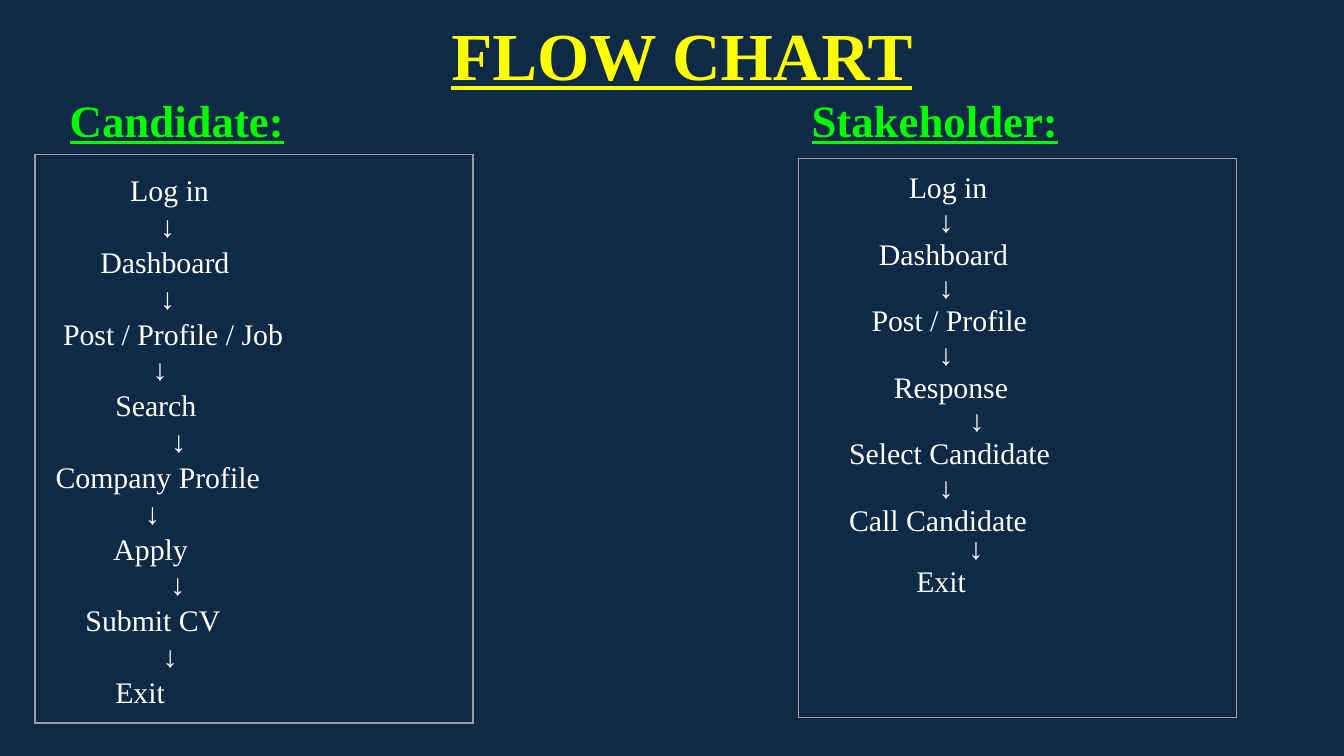
import pptx
import pptx.dml.color
import pptx.oxml
import pptx.oxml.ns
import pptx.util
from lxml import etree

NAVY = pptx.dml.color.RGBColor(0x0E, 0x2A, 0x47)
YELLOW = pptx.dml.color.RGBColor(0xFF, 0xFF, 0x00)
GREEN = pptx.dml.color.RGBColor(0x00, 0xFF, 0x00)
WHITE = pptx.dml.color.RGBColor(0xFF, 0xFF, 0xFF)
GREY = pptx.dml.color.RGBColor(0x9E, 0x9E, 0x9E)

SERIF = "Times New Roman"
NARROW = "Arial Narrow"
SLIDE_WIDTH = pptx.util.Inches(10)
SLIDE_HEIGHT = SLIDE_WIDTH * 9 // 16
CELL = SLIDE_WIDTH // 100  # side of one square of the layout grid
PADDING = CELL

# Each step: label, its indent, and the indent of the arrow below it (points)
CANDIDATE_STEPS = [
    ("Log in", 44, 60),
    ("Dashboard", 28, 60),
    ("Post / Profile / Job", 8, 56),
    ("Search", 36, 66),
    ("Company Profile", 4, 52),
    ("Apply", 35, 65.5),
    ("Submit CV", 20, 61.5),
    ("Exit", 36, None),
]
STAKEHOLDER_STEPS = [
    ("Log in", 52, 68),
    ("Dashboard", 36, 68),
    ("Post / Profile", 32, 68),
    ("Response", 44, 84.5),
    ("Select Candidate", 20, 68),
    ("Call Candidate", 20, 84),
    ("Exit", 56, None),
]


def grid(*cells):
    return [round(cell * CELL) for cell in cells]


def style(paragraph, size, colour, font=SERIF, bold=False, underline=False):
    paragraph.font.size = pptx.util.Pt(size)
    paragraph.font.name = font
    paragraph.font.bold = bold
    paragraph.font.underline = underline
    paragraph.font.color.rgb = colour


def pad(holder):
    holder.margin_left = holder.margin_right = PADDING
    holder.margin_top = holder.margin_bottom = PADDING


def add_text_area(slide, box):
    area = slide.shapes.add_textbox(*grid(*box)).text_frame
    area.word_wrap = True
    pad(area)
    return area


def add_heading(slide, box, text, size, colour):
    heading = add_text_area(slide, box).paragraphs[0]
    heading.text = text
    style(heading, size, colour, bold=True, underline=True)


def add_frame(slide, box):
    """Draw a one-cell table with a thin border and return its cell."""
    table = slide.shapes.add_table(1, 1, *grid(*box)).table
    table.first_row = table.horz_banding = False
    cell = table.cell(0, 0)
    pad(cell)
    properties = cell._tc.get_or_add_tcPr()
    for side in ("lnL", "lnR", "lnT", "lnB"):
        border = etree.SubElement(properties, pptx.oxml.ns.qn("a:" + side),
                                  w=str(pptx.util.Pt(0.75)))
        fill = etree.SubElement(border, pptx.oxml.ns.qn("a:solidFill"))
        etree.SubElement(fill, pptx.oxml.ns.qn("a:srgbClr"), val=str(GREY))
    cell.fill.background()
    return cell


def write_flow(area, steps, pitch, last_pitch):
    """Write the steps with an arrow between each; last_pitch is the last arrow's."""
    lines = []
    for label, indent, arrow_indent in steps:
        lines.append((label, indent, SERIF))
        if arrow_indent is not None:
            lines.append(("↓", arrow_indent, NARROW))
    for number, (text, indent, font) in enumerate(lines):
        line = area.add_paragraph() if number else area.paragraphs[0]
        line.text = text
        line._p.get_or_add_pPr().set("marL", str(pptx.util.Pt(indent)))
        height = last_pitch if number == len(lines) - 2 else pitch
        line.line_spacing = pptx.util.Pt(height)
        style(line, 16, WHITE, font, bold=font == NARROW)


def add_candidate(slide, left, top, width, height):
    flow = add_text_area(slide, (left, top + 5.9, width + 11.4, height - 5.6))
    write_flow(flow, CANDIDATE_STEPS, 19.2, 19.2)
    add_frame(slide, (left, top + 5.6, width, height - 5.6))
    add_heading(slide, (left + 1.6, top, width + 4.5, 7.2), "Candidate:", 24, GREEN)


def add_stakeholder(slide, left, top, width, height):
    frame = add_frame(slide, (left, top + 5.9, width, height - 5.9))
    write_flow(frame.text_frame, STAKEHOLDER_STEPS, 17.8, 14.9)
    add_heading(slide, (left, top, width + 5.7, 9.1), "Stakeholder:", 24, GREEN)


def main():
    deck = pptx.Presentation()
    deck.slide_width = SLIDE_WIDTH
    deck.slide_height = SLIDE_HEIGHT
    slide = deck.slides.add_slide(deck.slide_layouts[6])
    slide.background.fill.solid()
    slide.background.fill.fore_color.rgb = NAVY

    add_heading(slide, (32.6, 0, 54.5, 8.2), "FLOW CHART", 36, YELLOW)
    add_candidate(slide, 2.6, 5.9, 32.6, 47.9)
    add_stakeholder(slide, 59.4, 5.9, 32.6, 47.5)
    deck.save("out.pptx")


if __name__ == "__main__":
    main()
